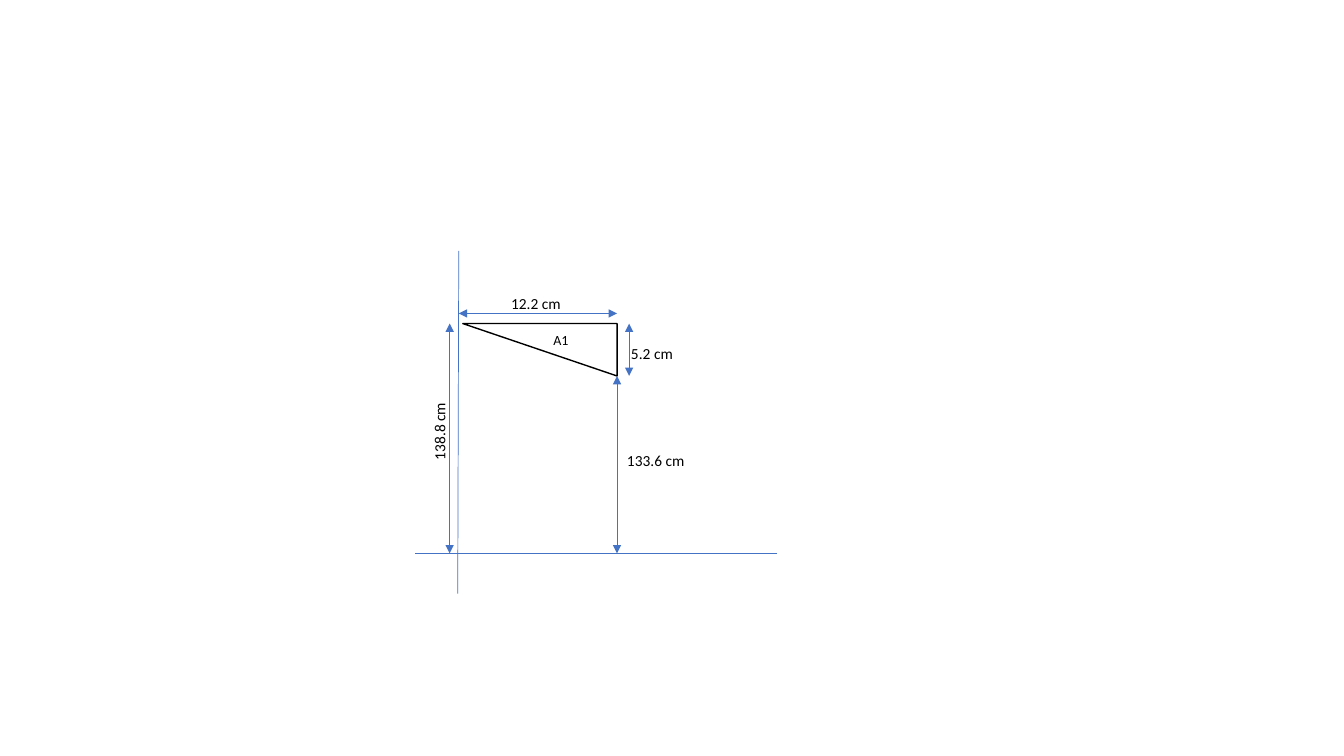
"""Draw triangle A1 with its dimensions above a pair of axes."""
from typing import NamedTuple

from lxml.etree import SubElement
from pptx import Presentation
from pptx.dml.color import RGBColor
from pptx.enum.shapes import MSO_CONNECTOR as Link, MSO_SHAPE as Shape
from pptx.oxml.ns import qn
from pptx.util import Inches, Pt

BLUE = RGBColor(0x44, 0x72, 0xC4)
BLACK = RGBColor(0, 0, 0)
WHITE = RGBColor(255, 255, 255)

LEFT, RIGHT = 4.59, 6.12
TOP, LOW, BASE = 3.21, 3.73, 5.49
AXIS = 4.55


class Line(NamedTuple):
    x1: float
    y1: float
    x2: float
    y2: float
    arrow: bool = True


class Label(NamedTuple):
    text: str
    x: float
    y: float
    width: float
    height: float = 0.29
    size: int = 11
    turn: int = 0


LINES = [
    Line(AXIS, 2.49, 4.54, 5.89, arrow=False),
    Line(4.12, BASE, 7.71, BASE, arrow=False),
    Line(AXIS, 3.11, RIGHT, 3.11),
    Line(6.24, TOP, 6.24, LOW),
    Line(RIGHT, LOW, RIGHT, BASE),
    Line(4.46, TOP, 4.46, BASE),
]
LABELS = [
    Label("12.2 cm", 4.97, 2.87, 0.89),
    Label("5.2 cm", 6.16, 3.36, 0.68),
    Label("133.6 cm", RIGHT, 4.43, 0.88),
    Label("138.8 cm", 3.92, 4.08, 0.88, turn=270),
    Label("A1", 5.39, 3.24, 0.75, height=0.27, size=10),
]


def draw_line(shapes, line: Line) -> None:
    link = shapes.add_connector(
        Link.STRAIGHT, Inches(line.x1), Inches(line.y1), Inches(line.x2), Inches(line.y2)
    )
    link.line.color.rgb = BLUE
    link.line.width = Pt(0.5)
    props = link.line._get_or_add_ln()
    if line.arrow:
        for end in ("a:headEnd", "a:tailEnd"):
            SubElement(props, qn(end), type="triangle")
    SubElement(link._element.spPr, qn("a:effectLst"))


def draw_label(shapes, label: Label) -> None:
    box = shapes.add_textbox(
        Inches(label.x), Inches(label.y), Inches(label.width), Inches(label.height)
    )
    box.rotation = label.turn
    frame = box.text_frame
    frame.word_wrap = True
    frame.text = label.text
    font = frame.paragraphs[0].runs[0].font
    font.name = "Calibri"
    font.size = Pt(label.size)
    font.color.rgb = BLACK


def draw_area(shapes) -> None:
    area = shapes.add_shape(
        Shape.RIGHT_TRIANGLE, Inches(LEFT), Inches(TOP), Inches(RIGHT - LEFT), Inches(LOW - TOP)
    )
    area.rotation = 180
    area.shadow.inherit = False
    area.fill.solid()
    area.fill.fore_color.rgb = WHITE
    area.line.color.rgb = BLACK
    area.line.width = Pt(1)


def main() -> None:
    deck = Presentation()
    deck.slide_width, deck.slide_height = Inches(13.33), Inches(7.5)
    shapes = deck.slides.add_slide(deck.slide_layouts[6]).shapes
    draw_area(shapes)
    for line in LINES:
        draw_line(shapes, line)
    for label in LABELS:
        draw_label(shapes, label)
    deck.save("out.pptx")


if __name__ == "__main__":
    main()
